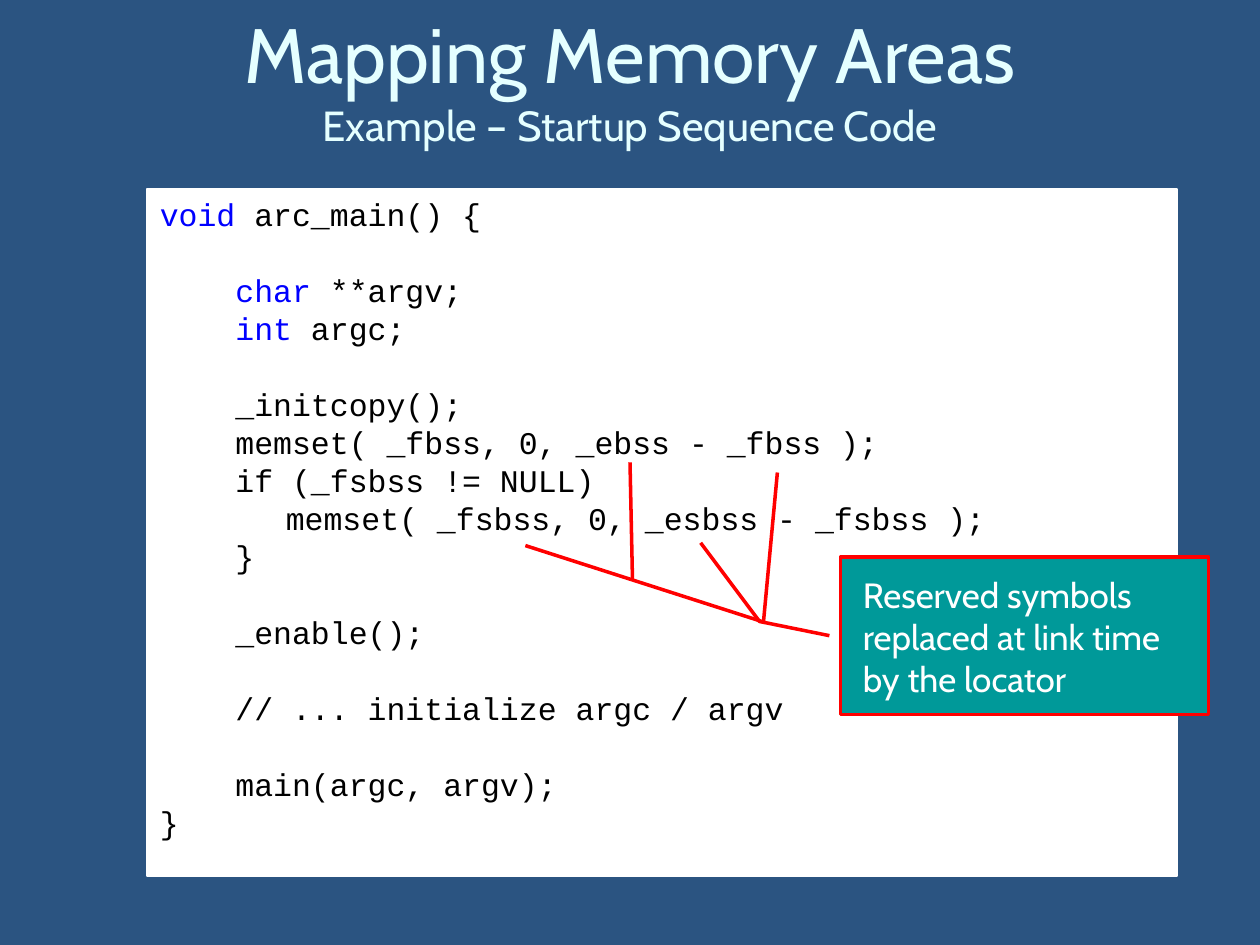
from dataclasses import dataclass
from lxml.etree import SubElement
from pptx import Presentation
from pptx.dml.color import RGBColor as Rgb
from pptx.enum.shapes import MSO_CONNECTOR as Conn, MSO_SHAPE as Kind
from pptx.enum.text import MSO_ANCHOR as Anchor, PP_ALIGN as Align
from pptx.oxml.ns import qn
from pptx.util import Inches, Pt


@dataclass(frozen=True)
class Theme:
    back: str = "2B5481"
    head: str = "E5FFFF"
    page: str = "FFFFFF"
    ink: str = "000000"
    key: str = "0000FF"
    note: str = "009999"
    mark: str = "FF0000"
    sans: str = "Cabin"
    mono: str = "Courier New"
    big: int = 44
    sub: int = 24
    body: int = 20
    code: int = 18
    pitch: float = 21.7


@dataclass(frozen=True)
class Row:
    text: str
    key: str = ""
    level: int = 1
    gap: bool = False


@dataclass(frozen=True)
class Line:
    x1: float
    y1: float
    x2: float
    y2: float


look = Theme()
DENT = (0, 0.6, 1)  # left margin of each code level, in inches

rows = [
    Row("arc_main() {", "void ", 0),
    Row(" **argv;", "char", gap=True),
    Row("argc;", "int "),
    Row("_initcopy();", gap=True),
    Row("memset( _fbss, 0, _ebss - _fbss );"),
    Row("if (_fsbss != NULL)"),
    Row("memset( _fsbss, 0, _esbss - _fsbss );", level=2),
    Row("}"),
    Row("_enable();", gap=True),
    Row("// ... initialize argc / argv", gap=True),
    Row("main(argc, argv);", gap=True),
    Row("}", level=0),
]
links = [
    Line(6.07, 4.94, 4.17, 4.33),
    Line(5.02, 4.6, 5, 3.67),
    Line(6.06, 4.93, 6.17, 3.75),
]


def style(run, face: str, size: float, tint: str) -> None:
    run.font.name = face
    run.font.size = Pt(size)
    run.font.color.rgb = Rgb.from_string(tint)


def panel(kind, area: tuple, fill: str, edge: str, width: float):
    shape = slide.shapes.add_shape(kind, *map(Inches, area))
    shape.shadow.inherit = False
    shape.fill.solid()
    shape.fill.fore_color.rgb = Rgb.from_string(fill)
    shape.line.color.rgb = Rgb.from_string(edge)
    shape.line.width = Pt(width)
    return shape


def write(para, row: Row) -> None:
    para.alignment = Align.LEFT
    para.line_spacing = Pt(look.pitch)
    para.space_before = Pt(look.pitch if row.gap else 0)
    props = para._p.get_or_add_pPr()
    props.set("marL", str(Inches(DENT[row.level])))
    props.set("indent", "0")
    for text, tint in ((row.key, look.key), (row.text, look.ink)):
        if text:
            run = para.add_run()
            run.text = text
            style(run, look.mono, look.code, tint)


def link(line: Line) -> None:
    ends = map(Inches, (line.x1, line.y1, line.x2, line.y2))
    wire = slide.shapes.add_connector(Conn.STRAIGHT, *ends)
    wire.line.color.rgb = Rgb.from_string(look.mark)
    wire.line.width = Pt(2)
    SubElement(wire._element.spPr, qn("a:effectLst"))


# Slide and background
deck = Presentation()
deck.slide_width, deck.slide_height = Inches(10), Inches(7.5)
slide = deck.slides.add_slide(deck.slide_layouts[5])
slide.background.fill.solid()
slide.background.fill.fore_color.rgb = Rgb.from_string(look.back)

# Title with its second line
title = slide.shapes.title
title.left, title.top, title.width, title.height = map(Inches, (0.5, 0.08, 9, 1.08))
frame = title.text_frame
frame.text = "Mapping Memory Areas\vExample – Startup Sequence Code"
frame.vertical_anchor = Anchor.MIDDLE
frame.paragraphs[0].alignment = Align.CENTER
for run, size in zip(frame.paragraphs[0].runs, (look.big, look.sub)):
    style(run, look.sans, size, look.head)

# Code listing
frame = panel(Kind.RECTANGLE, (1.17, 1.5, 8.17, 5.45), look.page, look.page, 1.25).text_frame
frame.word_wrap = True
frame.vertical_anchor = Anchor.TOP
for i, row in enumerate(rows):
    write(frame.add_paragraph() if i else frame.paragraphs[0], row)

# Callout and its text
call = panel(Kind.LINE_CALLOUT_2, (6.67, 4.42, 2.92, 1.25), look.note, look.mark, 2)
for i, share in enumerate((0.5, -0.03, 0.41, -0.22, -0.09, -0.38)):
    call.adjustments[i] = share
label = slide.shapes.add_textbox(*map(Inches, (6.75, 4.5, 2.75, 1.11)))
label.text_frame.word_wrap = True
label.text_frame.text = "Reserved symbols replaced at link time by the locator"
style(label.text_frame.paragraphs[0].runs[0], look.sans, look.body, look.page)

# Lines from the callout to the symbols
for line in links:
    link(line)

deck.save("out.pptx")
